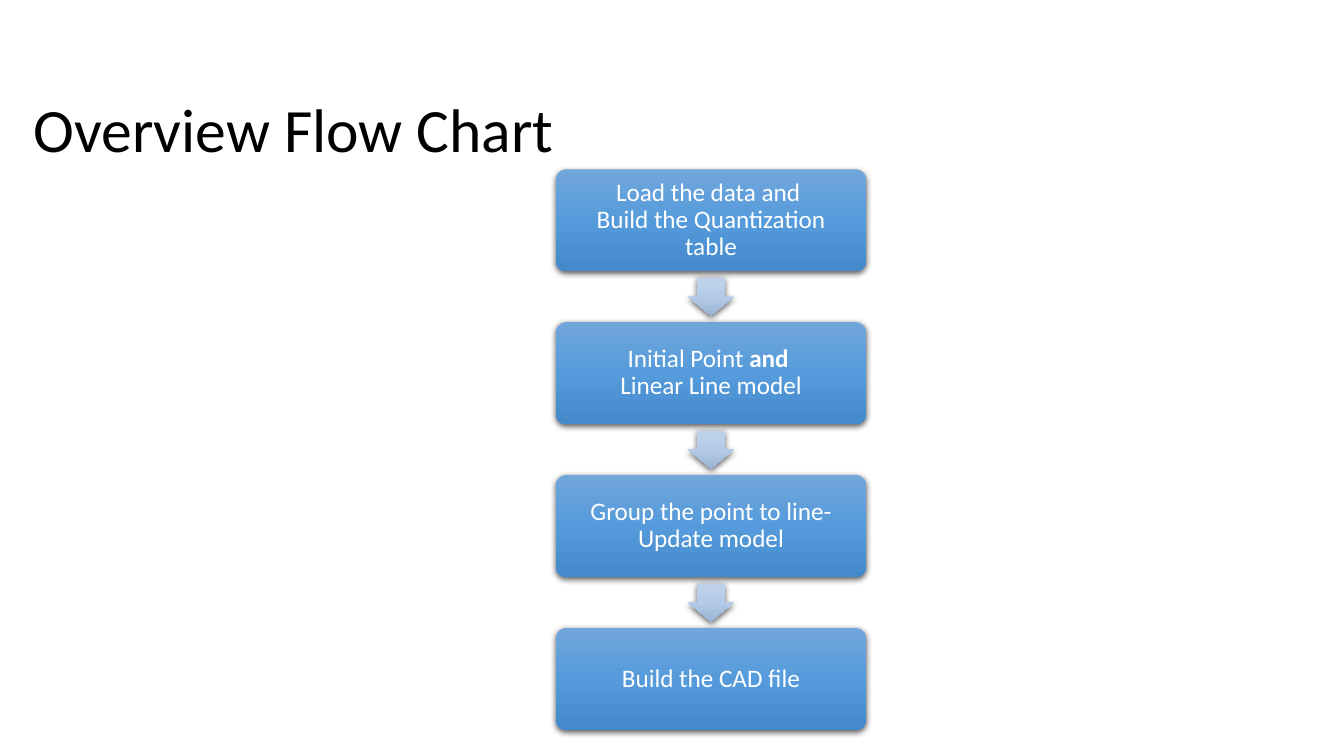
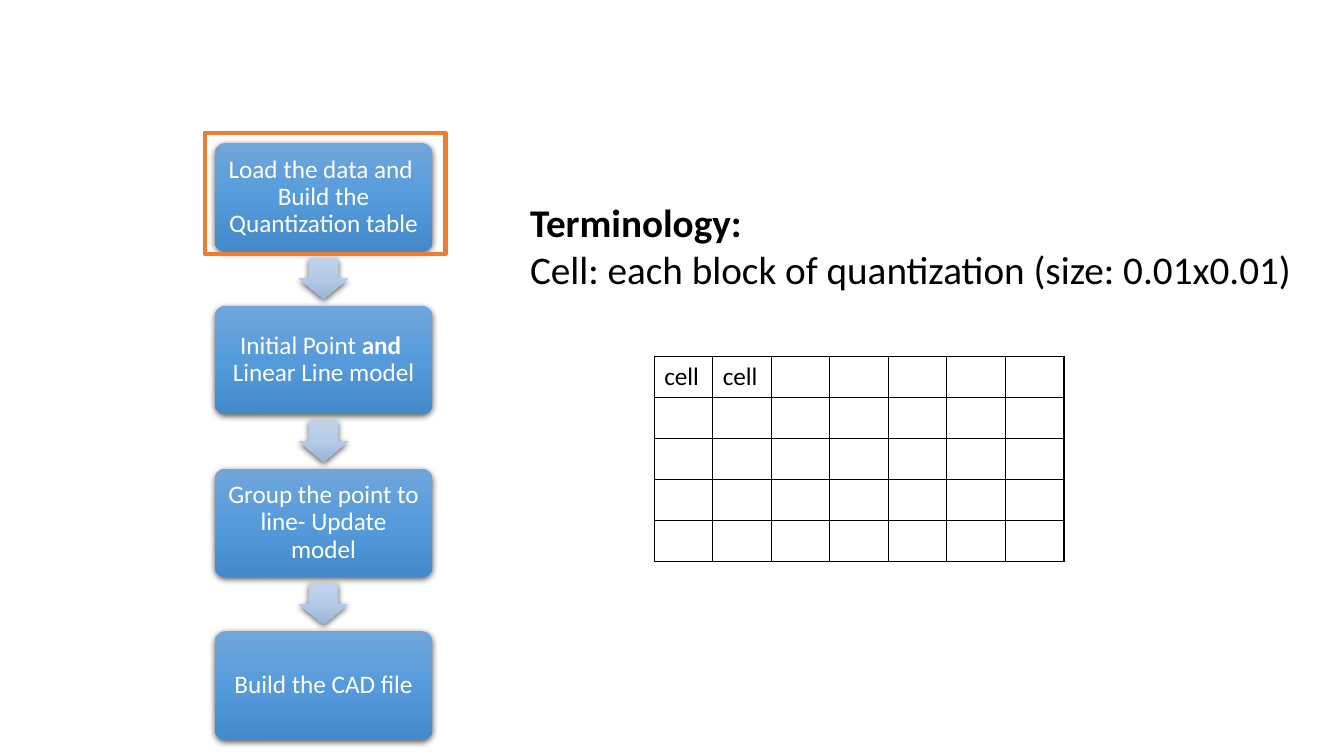
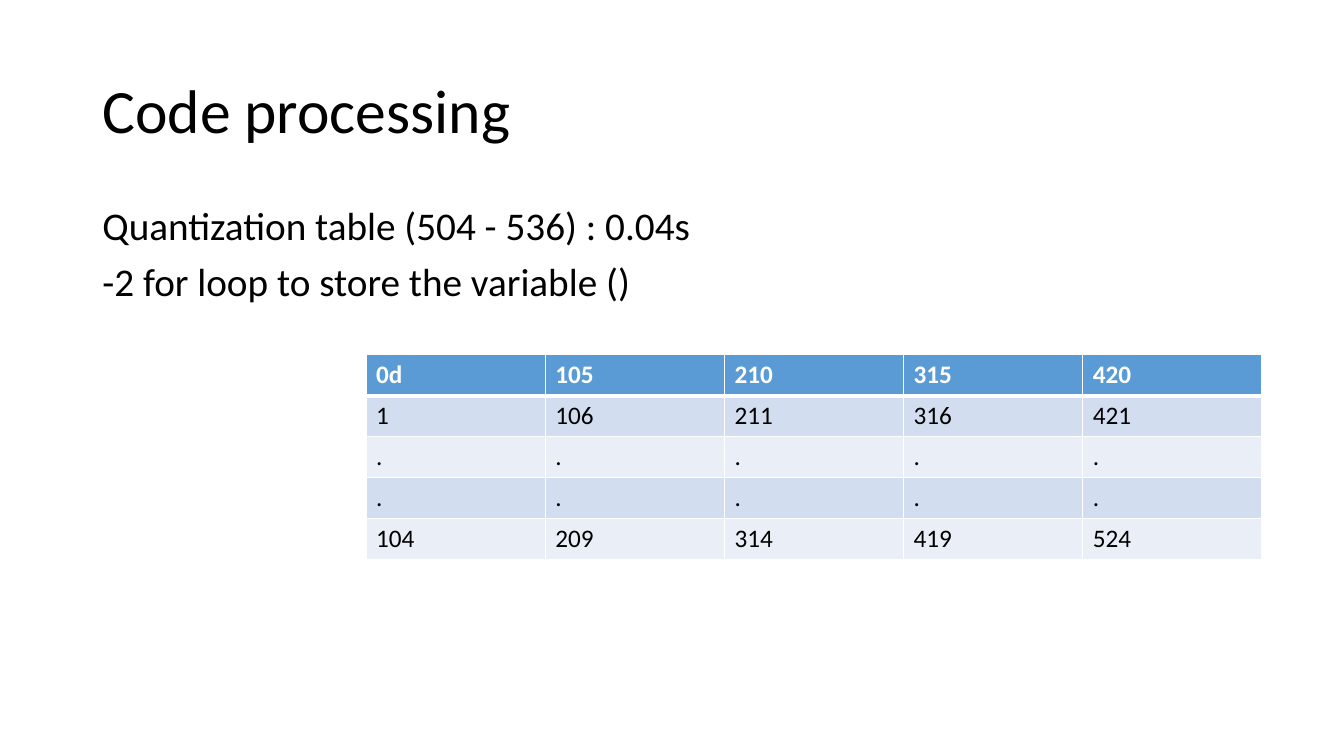
from lxml import etree
from pptx import Presentation
from pptx.dml.color import RGBColor
from pptx.enum import shapes, text
from pptx.oxml import ns, parse_xml
from pptx.util import Pt

FONT = "Calibri"
BLACK, WHITE, ORANGE = "000000", "FFFFFF", "ED7D31"
HEADER_BLUE, BAND_DARK, BAND_LIGHT = "5B9BD5", "D2DEEF", "EAEFF7"
STEP_GRADIENT = ("71A6DB", "559BDB", "448ACA")
ARROW_GRADIENT = ("C0D2EB", "B3CBE9", "9BB4D3")
TITLE_ONLY, BLANK, TITLE_AND_BODY = 5, 6, 1

# Each step is a list of lines; each line is a list of (words, bold) runs.
STEPS = [
    [[("Load the data and ", False)], [("Build the Quantization table", False)]],
    [[("Initial Point ", False), ("and ", True)], [("Linear Line model", False)]],
    [[("Group the point to line- Update model", False)]],
    [[("Build the CAD file", False)]],
]
CELL_GRID = [["cell", "cell"] + [""] * 5] + [[""] * 7 for _ in range(4)]
INDEX_GRID = [
    ["0d", "105", "210", "315", "420"],
    ["1", "106", "211", "316", "421"],
    ["."] * 5,
    ["."] * 5,
    ["104", "209", "314", "419", "524"],
]


def rgb(value):
    return RGBColor.from_string(value)


def apply(target, values):
    for name, value in values.items():
        setattr(target, name, value)


def place(shape, box):
    apply(shape, dict(zip(("left", "top", "width", "height"), map(Pt, box))))


def write_lines(paragraph, lines, size, color, **layout):
    """Fill one paragraph with runs, separated by line breaks."""
    apply(paragraph, layout)
    for number, line in enumerate(lines):
        if number:
            paragraph.add_line_break()
        for words, bold in line:
            run = paragraph.add_run()
            run.text = words
            apply(run.font, {"name": FONT, "size": Pt(size), "bold": bold})
            run.font.color.rgb = rgb(color)


def fill_gradient(shape, colors):
    """Top-to-bottom gradient with evenly spaced stops."""
    step = 100000 // (len(colors) - 1)
    stops = "".join(f'<a:gs pos="{i * step}"><a:srgbClr val="{c}"/></a:gs>'
                    for i, c in enumerate(colors))
    shape.fill.background()
    properties = shape.fill._xPr
    properties.replace(properties.find(ns.qn("a:noFill")), parse_xml(
        f'<a:gradFill {ns.nsdecls("a")} rotWithShape="1"><a:gsLst>{stops}</a:gsLst>'
        '<a:lin ang="5400000" scaled="0"/></a:gradFill>'))


def add_soft_shadow(shape):
    shape.shadow.inherit = False
    effects = shape.fill._xPr.find(ns.qn("a:effectLst"))
    effects.append(parse_xml(
        f'<a:outerShdw {ns.nsdecls("a")} blurRad="{Pt(4.5)}" dist="{Pt(1.5)}" '
        'dir="5400000" algn="ctr" rotWithShape="0"><a:srgbClr val="000000">'
        '<a:alpha val="63000"/></a:srgbClr></a:outerShdw>'))


def add_gradient_shape(slide, kind, box, colors, adjustments):
    shape = slide.shapes.add_shape(kind, *map(Pt, box))
    for index, value in enumerate(adjustments):
        shape.adjustments[index] = value
    fill_gradient(shape, colors)
    shape.line.fill.background()
    add_soft_shadow(shape)
    return shape


def add_flow(slide, left, top, width, height):
    """Stack the steps; each gap is half a step high and holds an arrow."""
    step_height = height / (1.5 * len(STEPS) - 0.5)
    arrow_width, arrow_height = 0.45 * step_height, 0.375 * step_height
    for number, lines in enumerate(STEPS):
        step_top = top + 1.5 * step_height * number
        if number:
            arrow_top = step_top - (0.5 * step_height + arrow_height) / 2
            add_gradient_shape(
                slide, shapes.MSO_SHAPE.DOWN_ARROW,
                (left + (width - arrow_width) / 2, arrow_top, arrow_width, arrow_height),
                ARROW_GRADIENT, (0.6, 0.5))
        step = add_gradient_shape(
            slide, shapes.MSO_SHAPE.ROUNDED_RECTANGLE,
            (left, step_top, width, step_height), STEP_GRADIENT, (0.1,))
        frame = step.text_frame
        margins = ("margin_left", "margin_top", "margin_right", "margin_bottom")
        apply(frame, dict.fromkeys(margins, Pt(7)))
        apply(frame, {"word_wrap": True, "vertical_anchor": text.MSO_ANCHOR.MIDDLE})
        write_lines(frame.paragraphs[0], lines, 18, WHITE,
                    alignment=text.PP_ALIGN.CENTER, line_spacing=0.9)


def set_title(slide, words, left, top):
    title = slide.shapes.title
    place(title, (left, top, 828, 104.4))
    apply(title.text_frame, {"vertical_anchor": text.MSO_ANCHOR.MIDDLE,
                             "auto_size": text.MSO_AUTO_SIZE.NONE})
    write_lines(title.text_frame.paragraphs[0], [[(words, False)]], 44, BLACK,
                alignment=text.PP_ALIGN.LEFT, line_spacing=0.9)


def set_body(slide, items, box):
    body = slide.placeholders[1]
    place(body, box)
    frame = body.text_frame
    frame.auto_size = text.MSO_AUTO_SIZE.NONE
    for number, item in enumerate(items):
        paragraph = frame.add_paragraph() if number else frame.paragraphs[0]
        write_lines(paragraph, [[(item, False)]], 28, BLACK,
                    line_spacing=0.9, space_before=Pt(10))
        properties = paragraph._p.get_or_add_pPr()
        properties.set("marL", "0")
        properties.set("indent", "0")
        etree.SubElement(properties, ns.qn("a:buNone"))


def set_borders(cell, color, widths):
    """Widths are in the order left, right, top, bottom."""
    properties = cell._tc.get_or_add_tcPr()
    for side, width in zip("LRTB", widths):
        properties.append(parse_xml(
            f'<a:ln{side} {ns.nsdecls("a")} w="{Pt(width)}"><a:solidFill>'
            f'<a:srgbClr val="{color}"/></a:solidFill></a:ln{side}>'))


def add_grid(slide, rows, box, border, header=False):
    """Table of equal cells; with a header it also gets banded fills."""
    left, top, width, height = box
    table = slide.shapes.add_table(len(rows), len(rows[0]), *map(Pt, box)).table
    apply(table, {"first_row": header, "horz_banding": header})
    for column in table.columns:
        column.width = Pt(width / len(rows[0]))
    for r, row in enumerate(rows):
        table.rows[r].height = Pt(height / len(rows))
        is_header = header and r == 0
        rule_above = 3 if header and r == 1 else 1
        for c, words in enumerate(row):
            cell = table.cell(r, c)
            set_borders(cell, border, (1, 1, rule_above, 3 if is_header else 1))
            if header:
                cell.fill.solid()
                band = BAND_DARK if r % 2 else BAND_LIGHT
                cell.fill.fore_color.rgb = rgb(HEADER_BLUE if is_header else band)
            else:
                cell.fill.background()
            if words:
                write_lines(cell.text_frame.paragraphs[0], [[(words, is_header)]],
                            18, WHITE if is_header else BLACK)


def add_terminology(slide, box):
    terminology = slide.shapes.add_textbox(*map(Pt, box))
    terminology.text_frame.word_wrap = True
    write_lines(terminology.text_frame.paragraphs[0], [
        [("Terminology:", True)],
        [("Cell: each block of quantization (size: 0.01x0.01)", False)],
    ], 28, BLACK)


def add_highlight(slide, box):
    highlight = slide.shapes.add_shape(shapes.MSO_SHAPE.RECTANGLE, *map(Pt, box))
    highlight.shadow.inherit = False
    highlight.fill.background()
    highlight.line.color.rgb = rgb(ORANGE)
    highlight.line.width = Pt(3)


def build_overview(slide):
    add_flow(slide, 397.2, 121, 221.4, 400.4)
    set_title(slide, "Overview Flow Chart", 16.6, 42.5)


def build_terminology(slide):
    add_flow(slide, 153.4, 102.2, 155.5, 426.2)
    add_grid(slide, CELL_GRID, (467.3, 254.9, 292.8, 146), BLACK)
    add_terminology(slide, (371.5, 138.2, 588, 97.2))
    add_highlight(slide, (146.2, 95, 172, 86.4))


def build_processing(slide):
    set_title(slide, "Code processing", 66, 28.75)
    set_body(slide, ["Quantization table (504 - 536) : 0.04s",
                     "-2 for loop to store the variable ()"], (66, 143.75, 828, 342.6))
    add_grid(slide, INDEX_GRID, (261.5, 253.5, 640, 146), WHITE, header=True)


def main():
    deck = Presentation()
    apply(deck, {"slide_width": Pt(960), "slide_height": Pt(540)})
    for layout, build in ((TITLE_ONLY, build_overview), (BLANK, build_terminology),
                          (TITLE_AND_BODY, build_processing)):
        build(deck.slides.add_slide(deck.slide_layouts[layout]))
    deck.save("out.pptx")


if __name__ == "__main__":
    main()
